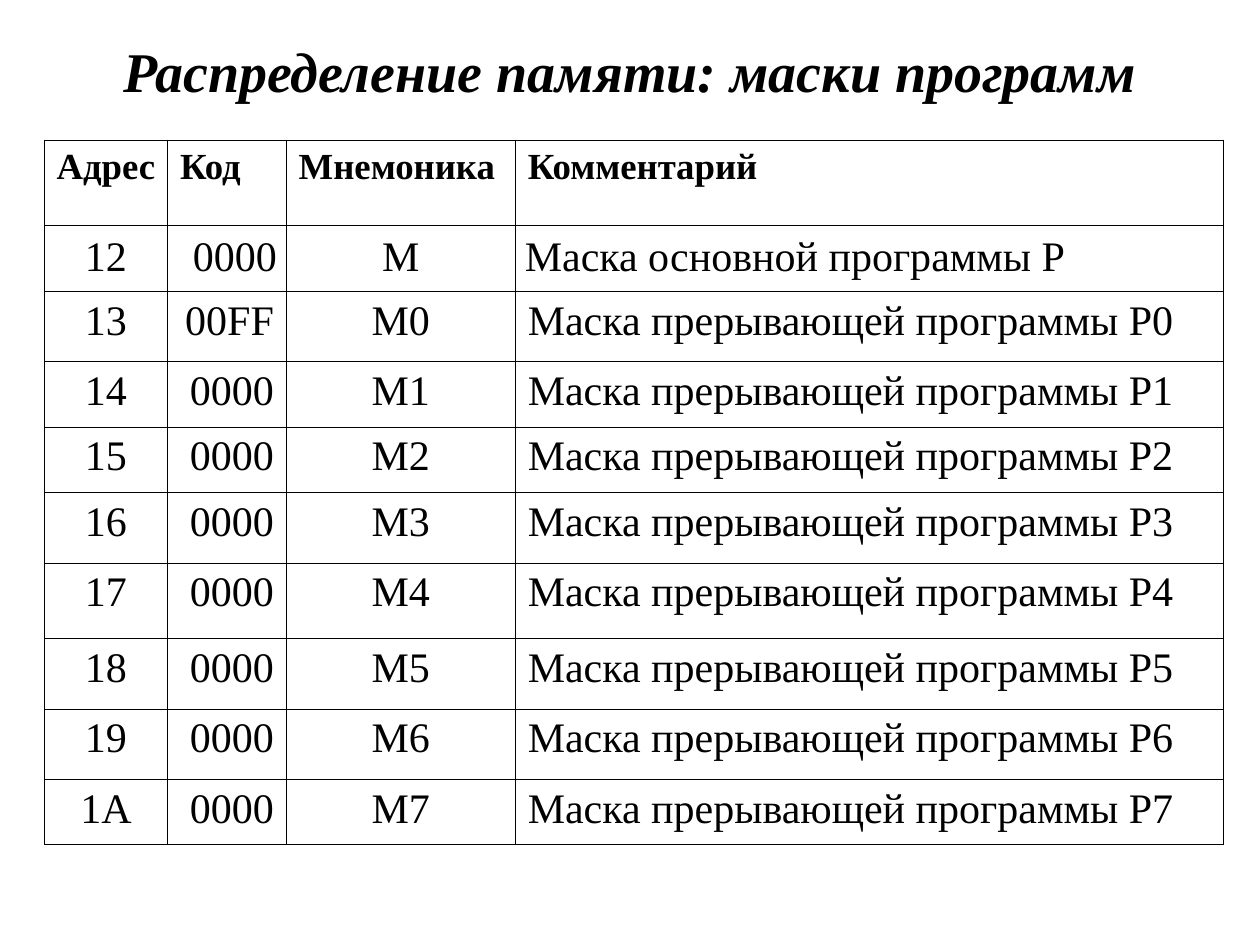
from dataclasses import dataclass

from lxml.etree import SubElement
from pptx import Presentation
from pptx.dml.color import RGBColor
from pptx.enum.text import MSO_ANCHOR, MSO_AUTO_SIZE, PP_ALIGN as Align
from pptx.oxml.ns import qn
from pptx.slide import Slide
from pptx.table import Table, _Cell as Cell
from pptx.text.text import _Paragraph as Paragraph
from pptx.util import Cm, Pt


@dataclass(frozen=True)
class Theme:
    font: str = "Times New Roman"
    ink: str = "000000"
    title_size: float = 32
    header_size: float = 21
    body_size: float = 24
    border_width: float = 0.45


@dataclass(frozen=True)
class Column:
    heading: str
    width: float
    align: Align


@dataclass(frozen=True)
class MaskRow:
    address: str
    code: str
    mnemonic: str
    comment: str
    height: float

    def texts(self) -> tuple[str, ...]:
        return self.address, self.code, self.mnemonic, self.comment


THEME = Theme()
COLUMNS = (
    Column("Адрес", 2.49, Align.CENTER),
    Column("Код", 2.39, Align.RIGHT),
    Column("Мнемоника", 4.62, Align.CENTER),
    Column("Комментарий", 14.27, Align.JUSTIFY),
)
HEADER_HEIGHT = 1.73
INTERRUPT_HEIGHTS = (1.42, 1.32, 1.32, 1.42, 1.52, 1.42, 1.42, 1.32)
FIRST_ADDRESS = 0x12
MAIN_MASK = MaskRow(f"{FIRST_ADDRESS:X}", "0000", "M", "Маска основной программы P", 1.32)
INTERRUPT_MASKS = tuple(
    MaskRow(
        f"{FIRST_ADDRESS + 1 + number:X}",
        "0000" if number else "00FF",
        f"M{number}",
        f"Маска прерывающей программы P{number}",
        height,
    )
    for number, height in enumerate(INTERRUPT_HEIGHTS)
)
MASKS = (MAIN_MASK, *INTERRUPT_MASKS)


def style_paragraph(paragraph: Paragraph, size: float, align: Align,
                    bold: bool = False, italic: bool = False) -> None:
    paragraph.alignment = align
    font = paragraph.font
    font.name, font.size = THEME.font, Pt(size)
    font.bold, font.italic = bold, italic
    font.color.rgb = RGBColor.from_string(THEME.ink)


def set_borders(cell: Cell) -> None:
    """Outline all four sides; borders must precede the fill in the cell XML."""
    properties = cell._tc.get_or_add_tcPr()
    for position, side in enumerate(("a:lnL", "a:lnR", "a:lnT", "a:lnB")):
        border = SubElement(properties, qn(side), w=str(int(Pt(THEME.border_width))))
        fill = SubElement(border, qn("a:solidFill"))
        SubElement(fill, qn("a:srgbClr"), val=THEME.ink)
        properties.insert(position, border)


def fill_cell(cell: Cell, text: str, size: float, align: Align,
              bold: bool = False, side_margin: float = 0.25) -> None:
    cell.text = text
    cell.margin_left = cell.margin_right = Cm(side_margin)
    cell.margin_top = cell.margin_bottom = Cm(0.13)
    cell.vertical_anchor = MSO_ANCHOR.TOP
    style_paragraph(cell.text_frame.paragraphs[0], size, align, bold)
    cell.fill.background()
    set_borders(cell)


def add_title(slide: Slide, text: str) -> None:
    title = slide.shapes.title
    title.left, title.top, title.width, title.height = Cm(0.5), Cm(0.43), Cm(24.4), Cm(1.96)
    frame = title.text_frame
    frame.text = text
    frame.auto_size = MSO_AUTO_SIZE.NONE
    frame.vertical_anchor = MSO_ANCHOR.MIDDLE
    style_paragraph(frame.paragraphs[0], THEME.title_size, Align.CENTER, bold=True, italic=True)


def add_mask_table(slide: Slide) -> Table:
    heights = (HEADER_HEIGHT, *(mask.height for mask in MASKS))
    width = sum(column.width for column in COLUMNS)
    table = slide.shapes.add_table(len(heights), len(COLUMNS), Cm(0.89), Cm(2.82),
                                   Cm(width), Cm(sum(heights))).table
    table.first_row = table.horz_banding = False
    for row, height in zip(table.rows, heights):
        row.height = Cm(height)
    for index, column in enumerate(COLUMNS):
        table.columns[index].width = Cm(column.width)
        fill_cell(table.cell(0, index), column.heading, THEME.header_size, Align.JUSTIFY, bold=True)
    for row_index, mask in enumerate(MASKS, start=1):
        for index, (column, text) in enumerate(zip(COLUMNS, mask.texts())):
            cell = table.cell(row_index, index)
            is_main = mask is MAIN_MASK
            fill_cell(cell, text, THEME.body_size, column.align, side_margin=0.19 if is_main else 0.25)
            if is_main:
                cell.text_frame.paragraphs[0].line_spacing = 1.05
    return table


def main() -> None:
    presentation = Presentation()
    presentation.slide_width, presentation.slide_height = Cm(25.4), Cm(19.05)
    slide = presentation.slides.add_slide(presentation.slide_layouts[5])
    add_title(slide, "Распределение памяти: маски программ")
    add_mask_table(slide)
    presentation.save("out.pptx")


if __name__ == "__main__":
    main()
